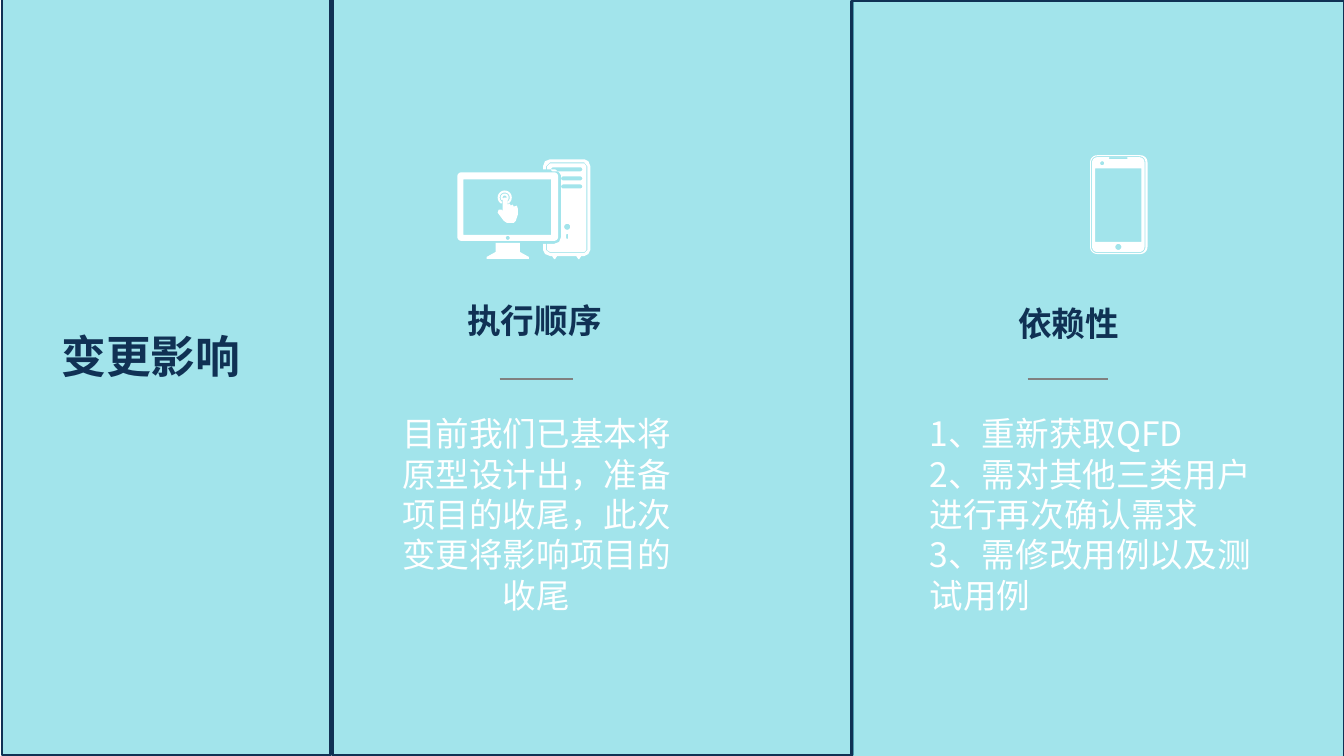
from math import cos, pi, sin

from lxml.etree import SubElement
from pptx import Presentation
from pptx.dml.color import RGBColor
from pptx.enum.shapes import MSO_CONNECTOR as Connector, MSO_SHAPE as Shape
from pptx.enum.text import MSO_AUTO_SIZE as AutoSize, PP_ALIGN as Align
from pptx.oxml.ns import qn
from pptx.util import Inches, Pt

NAVY, AQUA, WHITE, GRAY = "103154", "6ED5E0", "FFFFFF", "808080"
BODY_FONT = "Noto Sans CJK SC"


def color(value):
    return RGBColor.from_string(value)


def add_text(slide, text, left, top, width, height, size=24, font=BODY_FONT,
             ink=NAVY, bold=False, align=Align.LEFT, wrap=True):
    box = slide.shapes.add_textbox(Inches(left), Inches(top), Inches(width), Inches(height))
    frame = box.text_frame
    frame.word_wrap = wrap
    frame.auto_size = AutoSize.SHAPE_TO_FIT_TEXT
    frame.text = text
    for paragraph in frame.paragraphs:
        paragraph.alignment = align
        paragraph.line_spacing = Pt(size * 1.2)
        for run in paragraph.runs:
            run.font.size, run.font.bold, run.font.name = Pt(size), bold, font
            run.font.color.rgb = color(ink)
            SubElement(run.font._element, qn("a:ea"), typeface=font)


def add_panel(slide, left, top, width, height):
    panel = slide.shapes.add_shape(Shape.RECTANGLE, Inches(left), Inches(top),
                                   Inches(width), Inches(height))
    panel.shadow.inherit = False
    panel.fill.solid()
    panel.fill.fore_color.rgb = color(AQUA)
    tint = panel.fill._xPr.find(qn("a:solidFill"))[0]
    SubElement(tint, qn("a:alpha"), val="64000")
    panel.line.color.rgb = color(NAVY)
    panel.line.width = Pt(2)


def add_rule(slide, left, top, width):
    rule = slide.shapes.add_connector(Connector.STRAIGHT, Inches(left), Inches(top),
                                      Inches(left + width), Inches(top))
    rule.line.color.rgb = color(GRAY)
    rule.line.width = Pt(1.5)
    SubElement(rule._element.spPr, qn("a:effectLst"))


def rounded(left, top, right, bottom, radius=0.0):
    if not radius:
        return [(left, top), (right, top), (right, bottom), (left, bottom)]
    corners = [(right - radius, bottom - radius), (left + radius, bottom - radius),
               (left + radius, top + radius), (right - radius, top + radius)]
    steps = 6
    return [(x + radius * cos((quarter + step / steps) * pi / 2),
             y + radius * sin((quarter + step / steps) * pi / 2))
            for quarter, (x, y) in enumerate(corners) for step in range(steps + 1)]


def circle(x, y, radius):
    return rounded(x - radius, y - radius, x + radius, y + radius, radius)


def add_icon(slide, left, top, parts):
    icon = slide.shapes.add_group_shape()
    for outlines in parts:
        placed = [[(Inches(left + x), Inches(top + y)) for x, y in outline]
                  for outline in outlines]
        builder = icon.shapes.build_freeform(*placed[0][0])
        for index, points in enumerate(placed):
            if index:
                builder.move_to(*points[0])
            builder.add_line_segments(points[1:], close=True)
        part = builder.convert_to_shape()
        part.shadow.inherit = False
        part.fill.solid()
        part.fill.fore_color.rgb = color(WHITE)
        part.line.fill.background()


def add_computer(slide, left, top):
    stand = [(0.38, 0.83), (0.62, 0.83), (0.62, 0.92), (0.71, 0.97),
             (0.71, 0.99), (0.29, 0.99), (0.29, 0.97), (0.38, 0.92)]
    monitor = [rounded(0, 0.13, 1, 0.81, 0.04), rounded(0.06, 0.2, 0.93, 0.75),
               circle(0.5, 0.78, 0.02)]
    tower = [[(0.89, 0.1), (0.89, 0.07), (0.92, 0.04), (1.26, 0.04), (1.28, 0.07),
              (1.28, 0.9), (1.26, 0.92), (0.92, 0.92), (0.89, 0.9), (0.89, 0.84),
              (0.96, 0.84), (1.01, 0.82), (1.03, 0.77), (1.03, 0.16), (1.01, 0.13),
              (0.97, 0.1)]]
    tower += [rounded(start, y, 1.24, y + 0.04, 0.02)
              for start, y in ((0.93, 0.08), (1.03, 0.17), (1.03, 0.25))]
    tower += [circle(1.09, 0.67, 0.03), rounded(1.08, 0.74, 1.1, 0.79, 0.01)]
    casing = [[(0.85, 0.1), (0.85, 0.07), (0.87, 0.02), (0.92, 0), (1.26, 0),
               (1.3, 0.02), (1.32, 0.07), (1.32, 0.9), (1.3, 0.94), (1.26, 0.96),
               (1.23, 0.96), (1.21, 0.99), (1.2, 0.99), (1.18, 0.96), (0.99, 0.96),
               (0.97, 0.99), (0.96, 0.99), (0.94, 0.96), (0.92, 0.96), (0.87, 0.94),
               (0.85, 0.9), (0.85, 0.84), (0.88, 0.84), (0.88, 0.9), (0.92, 0.93),
               (1.26, 0.93), (1.29, 0.9), (1.29, 0.07), (1.26, 0.03), (0.92, 0.03),
               (0.88, 0.07), (0.88, 0.1)]]
    hand = [[(0.45, 0.4), (0.46, 0.38), (0.49, 0.38), (0.5, 0.4), (0.5, 0.45),
             (0.52, 0.44), (0.53, 0.46), (0.55, 0.45), (0.56, 0.47), (0.59, 0.46),
             (0.6, 0.49), (0.6, 0.55), (0.58, 0.61), (0.56, 0.63), (0.49, 0.63),
             (0.46, 0.61), (0.4, 0.53), (0.41, 0.5), (0.44, 0.5), (0.45, 0.52)]]

    def ripple(outer, inner, gap):
        span = 2 * pi - gap
        angles = [pi / 2 + gap / 2 + span * step / 20 for step in range(21)]
        return [[(0.47 + radius * cos(angle), 0.38 + radius * sin(angle))
                 for radius, sweep in ((outer, angles), (inner, angles[::-1]))
                 for angle in sweep]]

    add_icon(slide, left, top, [stand and [stand], monitor, tower, casing, hand,
                                ripple(0.07, 0.05, 1), ripple(0.04, 0.02, 1.5)])


def add_phone(slide, left, top):
    rim = [rounded(0, 0, 0.57, 0.98, 0.07), rounded(0.01, 0.01, 0.55, 0.97, 0.06)]
    face = [rounded(0.02, 0.02, 0.54, 0.96, 0.05), rounded(0.19, 0.02, 0.37, 0.04),
            circle(0.12, 0.08, 0.02), circle(0.28, 0.91, 0.03),
            rounded(0.05, 0.13, 0.51, 0.86)]
    add_icon(slide, left, top, [rim, face])


def add_title_column(slide, left, top, width, height, title):
    add_panel(slide, left, top, width, height)
    add_text(slide, title, left + 0.49, top + 3.22, 6.35, 0.64,
             size=32, font="League Spartan", bold=True)


def add_impact_column(slide, left, top, width, height, heading, heading_box,
                      rule, body, body_box, align, draw_icon, icon_at):
    add_panel(slide, left, top, width, height)
    x, y, w = heading_box
    add_text(slide, heading, left + x, top + y, w, 0.5, bold=True, wrap=False)
    x, y, w = rule
    add_rule(slide, left + x, top + y, w)
    x, y, w = body_box
    add_text(slide, body, left + x, top + y, w, 2.12, ink=WHITE, align=align)
    x, y = icon_at
    draw_icon(slide, left + x, top + y)


def main():
    deck = Presentation()
    deck.slide_width, deck.slide_height = Inches(13.34), Inches(7.5)
    slide = deck.slides.add_slide(deck.slide_layouts[6])
    add_impact_column(
        slide, 3.3, -0.01, 5.16, 7.5, "执行顺序", (1.24, 2.94, 1.55), (1.66, 3.77, 0.73),
        "目前我们已基本将原型设计出，准备项目的收尾，此次变更将影响项目的收尾",
        (0.49, 4.06, 3.07), Align.CENTER, add_computer, (1.24, 1.59))
    add_impact_column(
        slide, 8.45, 0.01, 4.89, 7.5, "依赖性", (1.56, 2.95, 1.32), (1.75, 3.75, 0.8),
        "1、重新获取QFD\n2、需对其他三类用户进行再次确认需求\n3、需修改用例以及测试用例",
        (0.68, 4.04, 3.66), Align.LEFT, add_phone, (2.37, 1.53))
    add_title_column(slide, 0.02, -0.01, 3.26, 7.5, "变更影响")
    deck.save("out.pptx")


if __name__ == "__main__":
    main()
